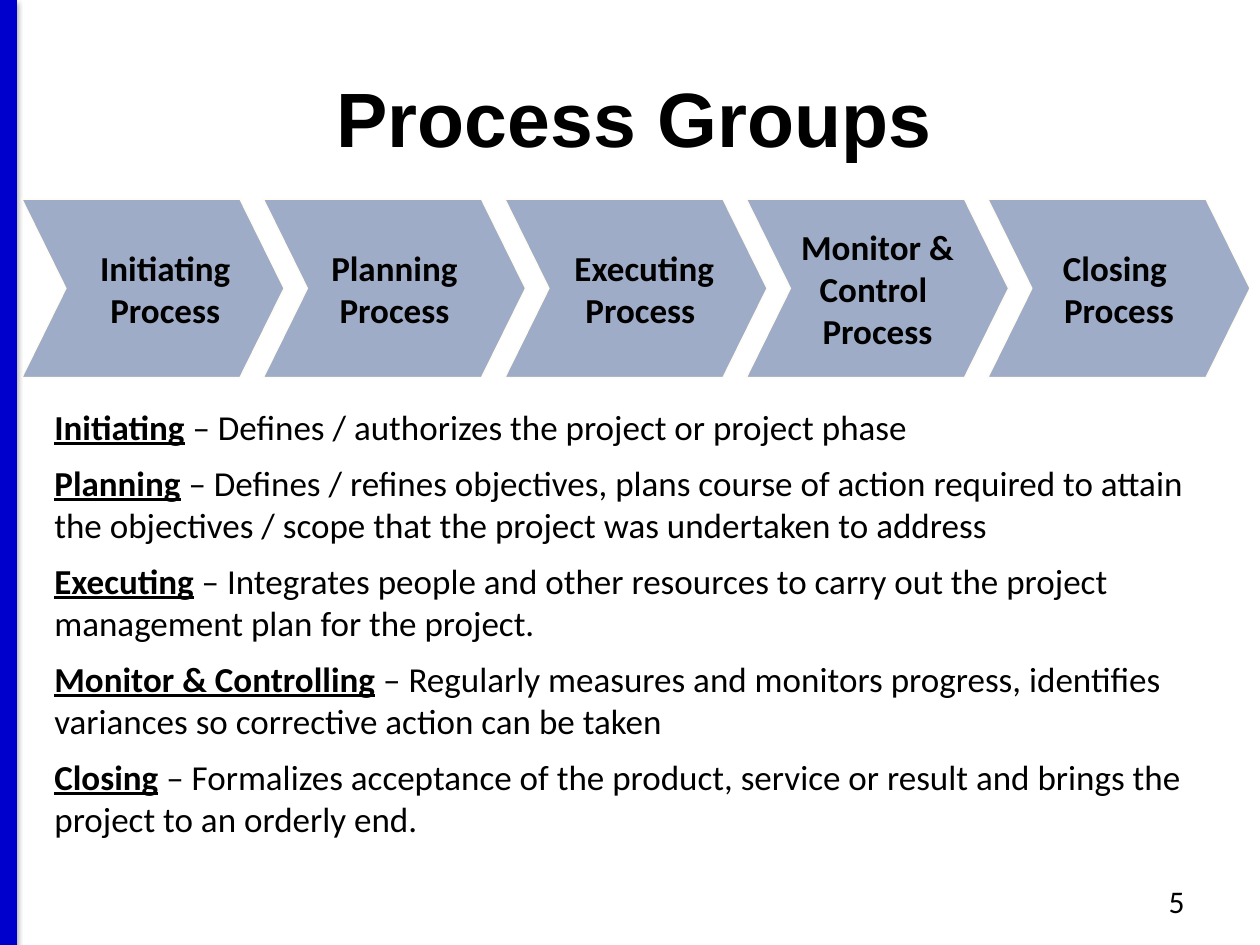
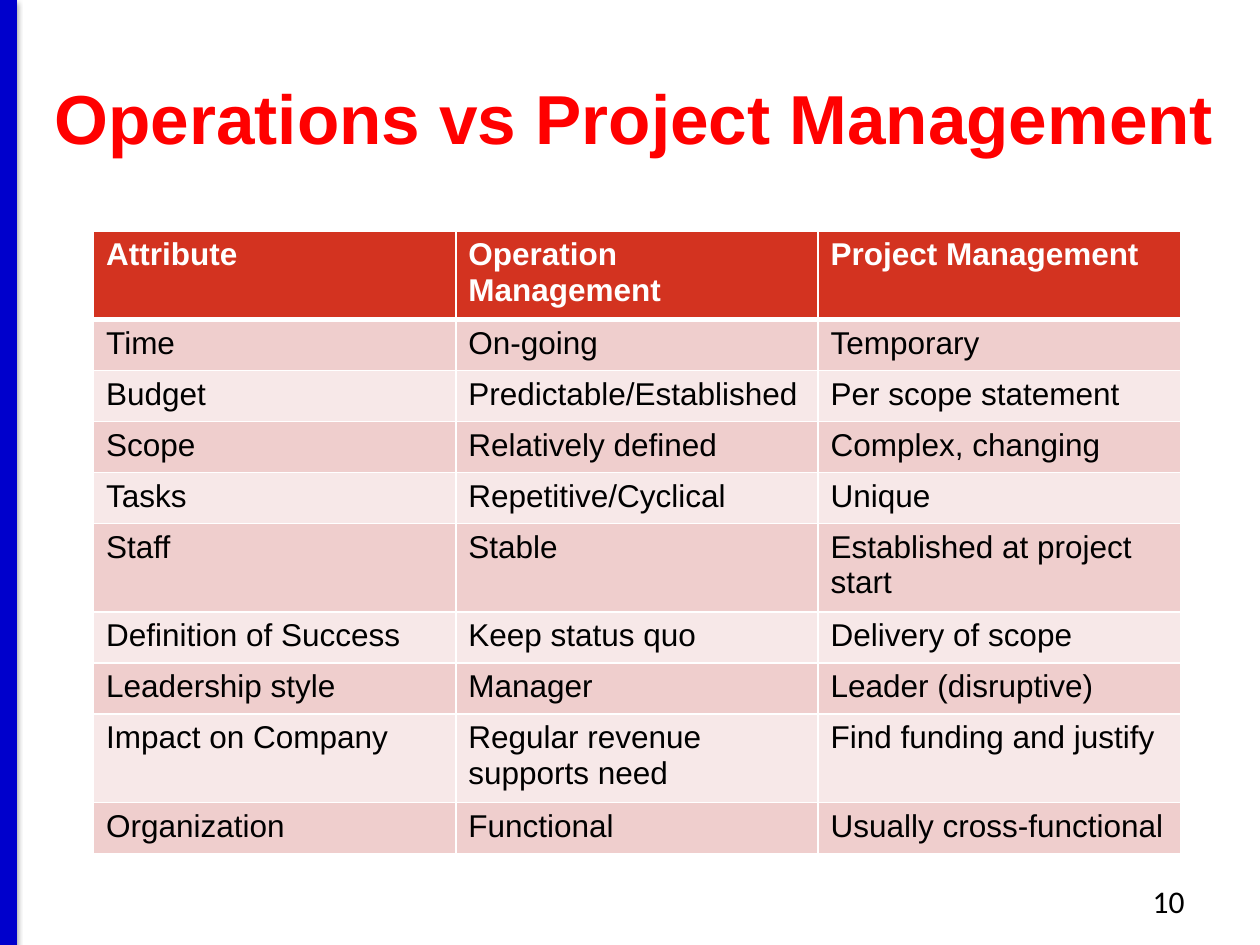
from lxml.etree import SubElement
from pptx import Presentation
from pptx.dml.color import RGBColor
from pptx.enum.shapes import MSO_CONNECTOR, MSO_SHAPE
from pptx.enum.text import MSO_ANCHOR, PP_ALIGN
from pptx.oxml import parse_xml
from pptx.oxml.ns import nsdecls, qn
from pptx.util import Pt

# Content
HUES = {
    "band": "0000CC", "text": "000000", "alert": "FF0000", "white": "FFFFFF",
    "step": "9FACC7", "edge": "FFFCF2",
    "head": "D33320", "odd": "EFCECD", "even": "F7E8E8",
}

# Lines of each step, with the left inset that moves them off centre
STEPS = [
    (["Initiating", "Process"], 14),
    (["Planning", "Process"], 0),
    ([" Executing", "Process"], 5),
    (["Monitor &", "Control ", "Process"], 0),
    (["Closing ", "Process"], 0),
]

TERMS = [
    ("Initiating", "Defines / authorizes the project or project phase"),
    ("Planning", "Defines / refines objectives, plans course of action required "
     "to attain the objectives / scope that the project was undertaken to address"),
    ("Executing", "Integrates people and other resources to carry out the project "
     "management plan for the project."),
    ("Monitor & Controlling", "Regularly measures and monitors progress, identifies "
     "variances so corrective action can be taken"),
    ("Closing", "Formalizes acceptance of the product, service or result and brings "
     "the project to an orderly end."),
]

ROWS = [
    ("Attribute", "Operation Management", "Project Management"),
    ("Time", "On-going", "Temporary"),
    ("Budget", "Predictable/Established", "Per scope statement"),
    ("Scope", "Relatively defined", "Complex, changing"),
    ("Tasks", "Repetitive/Cyclical", "Unique"),
    ("Staff", "Stable", "Established at project start"),
    ("Definition of Success", "Keep status quo", "Delivery of scope"),
    ("Leadership style", "Manager", "Leader (disruptive)"),
    ("Impact on Company", "Regular revenue supports need", "Find funding and justify"),
    ("Organization", "Functional", "Usually cross-functional"),
]


# Helpers
def hue(key):
    return RGBColor.from_string(HUES[key])


def add_run(para, text, size, face="Calibri", tone="text", bold=False, under=False):
    run = para.add_run()
    run.text = text
    font = run.font
    font.size, font.name, font.bold, font.underline = Pt(size), face, bold, under
    font.color.rgb = hue(tone)


def add_box(slide, left, top, width, height, align=PP_ALIGN.LEFT):
    frame = slide.shapes.add_textbox(Pt(left), Pt(top), Pt(width), Pt(height)).text_frame
    frame.word_wrap = True
    frame.paragraphs[0].alignment = align
    return frame


def next_para(frame, index):
    return frame.add_paragraph() if index else frame.paragraphs[0]


def set_edges(cell, widths):
    """Draw white cell borders; widths maps a side to points."""
    props = cell._tc.get_or_add_tcPr()
    for place, side in enumerate("LRTB"):
        line = parse_xml(
            f'<a:ln{side} {nsdecls("a")} w="{Pt(widths[side])}"><a:solidFill>'
            f'<a:srgbClr val="{HUES["white"]}"/></a:solidFill></a:ln{side}>')
        props.insert(place, line)


# Shared frame: side band, title, page number
def add_page(deck, title, size, tone, number):
    slide = deck.slides.add_slide(deck.slide_layouts[6])
    band = slide.shapes.add_connector(MSO_CONNECTOR.STRAIGHT, Pt(5), 0, Pt(5), Pt(540))
    band.line.color.rgb = hue("band")
    band.line.width = Pt(10)
    glow = SubElement(band._element.spPr, qn("a:effectLst"))
    glow.append(parse_xml(
        f'<a:outerShdw {nsdecls("a")} blurRad="{Pt(3.1)}" dist="{Pt(1.6)}" '
        f'dir="5400000" rotWithShape="0"><a:srgbClr val="{HUES["text"]}">'
        '<a:alpha val="38000"/></a:srgbClr></a:outerShdw>'))

    frame = add_box(slide, 5, 21.6, 715, 90, PP_ALIGN.CENTER)
    frame.vertical_anchor = MSO_ANCHOR.MIDDLE
    add_run(frame.paragraphs[0], title, size, "Arial", tone, True)

    frame = add_box(slide, 516, 500.4, 168, 29, PP_ALIGN.RIGHT)
    add_run(frame.paragraphs[0], number, 18)
    return slide


# Chevron row
def add_steps(slide):
    for index, (lines, inset) in enumerate(STEPS):
        step = slide.shapes.add_shape(
            MSO_SHAPE.CHEVRON, Pt(12.5 + 138 * index), Pt(113.8), Pt(149.8), Pt(102))
        step.adjustments[0] = 0.247
        step.shadow.inherit = False
        step.fill.solid()
        step.fill.fore_color.rgb = hue("step")
        step.line.color.rgb = hue("edge")
        step.line.width = Pt(0.75)
        frame = step.text_frame
        frame.word_wrap = False
        frame.vertical_anchor = MSO_ANCHOR.MIDDLE
        frame.margin_left, frame.margin_right = Pt(inset), 0
        for row, line in enumerate(lines):
            para = next_para(frame, row)
            para.alignment = PP_ALIGN.CENTER
            add_run(para, line, 20, bold=True)


# Definitions below the chevrons
def add_terms(slide):
    frame = add_box(slide, 24, 228, 684, 262)
    for index, (term, text) in enumerate(TERMS):
        para = next_para(frame, index)
        if index:
            para.space_before = Pt(8)
        add_run(para, term, 20, bold=True, under=True)
        add_run(para, " – " + text, 20)


# Comparison table
def add_grid(slide):
    count, span = len(ROWS), len(ROWS[0])
    width, height = 207, 29.2
    grid = slide.shapes.add_table(
        count, span, Pt(53.5), Pt(132), Pt(width * span), Pt(height * count)).table
    for col in grid.columns:
        col.width = Pt(width)
    for r, texts in enumerate(ROWS):
        grid.rows[r].height = Pt(height)
        head = r == 0
        fill = "head" if head else "odd" if r % 2 else "even"
        for c, text in enumerate(texts):
            cell = grid.cell(r, c)
            cell.fill.solid()
            cell.fill.fore_color.rgb = hue(fill)
            set_edges(cell, {"L": 1, "R": 1, "T": 3 if r == 1 else 1, "B": 3 if head else 1})
            add_run(cell.text_frame.paragraphs[0], text, 18, "Arial",
                    "white" if head else "text", head)


def main():
    deck = Presentation()
    deck.slide_width, deck.slide_height = Pt(720), Pt(540)

    slide = add_page(deck, "Process Groups", 44, "text", "5")
    add_steps(slide)
    add_terms(slide)

    slide = add_page(deck, "Operations vs Project Management", 39.6, "alert", "10")
    add_grid(slide)

    deck.save("out.pptx")


if __name__ == "__main__":
    main()
